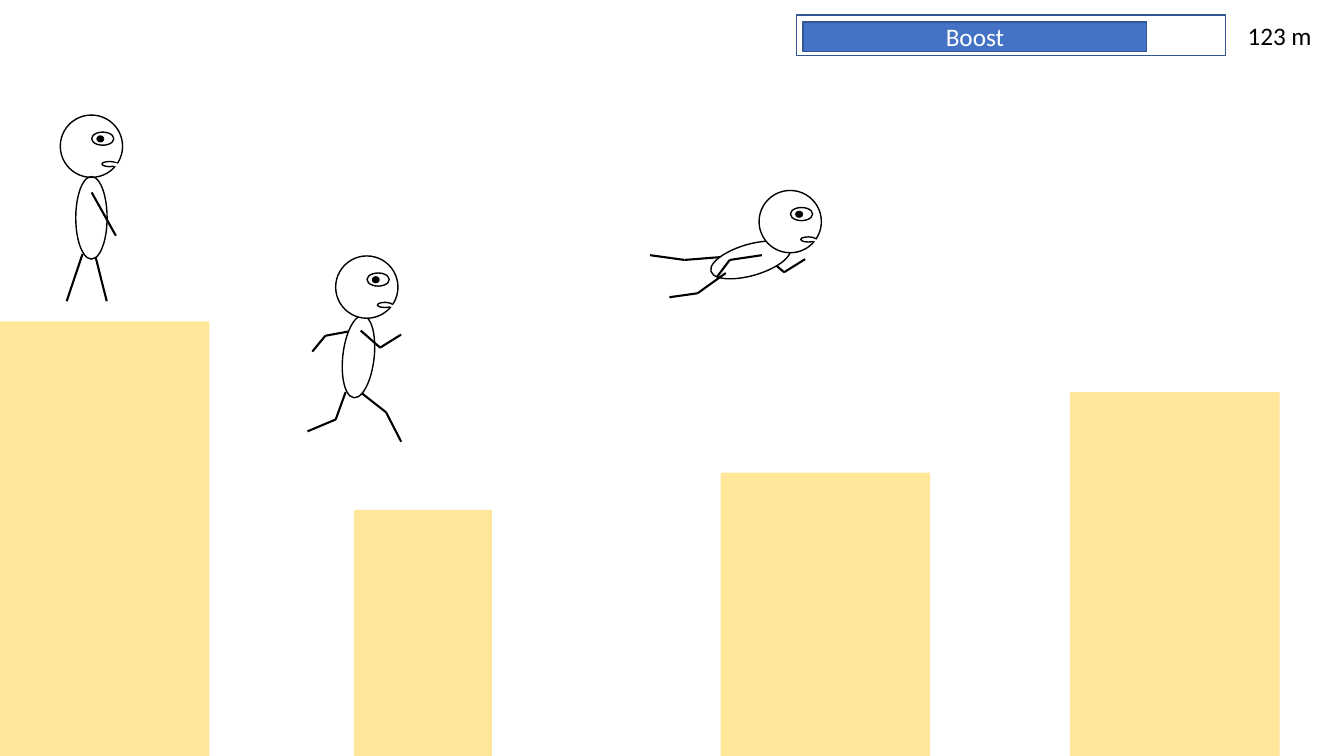
from dataclasses import dataclass
from itertools import pairwise

from lxml import etree
from pptx import Presentation
from pptx.dml.color import RGBColor
from pptx.enum.shapes import MSO_CONNECTOR, MSO_SHAPE
from pptx.enum.text import MSO_ANCHOR, MSO_AUTO_SIZE, PP_ALIGN
from pptx.oxml.ns import qn
from pptx.util import Cm, Pt

RECT, OVAL = MSO_SHAPE.RECTANGLE, MSO_SHAPE.OVAL
STRAIGHT = MSO_CONNECTOR.STRAIGHT
CENTER, MIDDLE = PP_ALIGN.CENTER, MSO_ANCHOR.MIDDLE
GROW = MSO_AUTO_SIZE.SHAPE_TO_FIT_TEXT


@dataclass(frozen=True)
class Theme:
    ink: str = "000000"
    paper: str = "FFFFFF"
    sand: str = "FFE699"
    blue: str = "4472C4"
    navy: str = "325491"
    font: str = "Calibri"
    size: float = 18
    outline: float = 1
    limb: float = 1.5


T = Theme()
SLIDE_W, SLIDE_H = 33.87, 19.05
HEAD, BODY_W, BODY_H = 1.57, 0.79, 2.08

prs = Presentation()
prs.slide_width, prs.slide_height = Cm(SLIDE_W), Cm(SLIDE_H)
s = prs.slides.add_slide(prs.slide_layouts[6])


def add_shape(kind, x, y, w, h, fill=None, line=None):
    sp = s.shapes.add_shape(kind, Cm(x), Cm(y), Cm(w), Cm(h))
    sp.shadow.inherit = False
    if fill:
        sp.fill.solid()
        sp.fill.fore_color.rgb = RGBColor.from_string(fill)
    else:
        sp.fill.background()
    if line:
        sp.line.color.rgb = RGBColor.from_string(line)
        sp.line.width = Pt(T.outline)
    else:
        sp.line.fill.background()
    return sp


def add_path(points, color=T.ink, width=T.limb):
    for (x1, y1), (x2, y2) in pairwise(points):
        cn = s.shapes.add_connector(STRAIGHT, Cm(x1), Cm(y1), Cm(x2), Cm(y2))
        cn.line.color.rgb = RGBColor.from_string(color)
        cn.line.width = Pt(width)
        etree.SubElement(cn._element.spPr, qn("a:effectLst"))


platforms = [(0, 8.1, 5.28), (8.92, 12.85, 3.48), (18.16, 11.91, 5.28), (26.97, 9.88, 5.28)]
for x, y, w in platforms:
    add_shape(RECT, x, y, w, SLIDE_H - y, T.sand)

standing = dict(
    head=(1.52, 2.9), body=(1.91, 4.45), tilt=0, fill=None, lip=2.25,
    back=[],
    front=[
        [(2.41, 6.48), (2.69, 7.59)],
        [(2.08, 6.4), (1.68, 7.59)],
        [(2.31, 4.85), (2.92, 5.94)],
    ],
)
running = dict(
    head=(8.46, 6.45), body=(8.64, 7.95), tilt=6.4, fill=T.paper, lip=1.5,
    back=[[(9.02, 8.31), (8.2, 8.46), (7.87, 8.86)]],
    front=[
        [(9.12, 9.91), (9.73, 10.39), (10.11, 11.13)],
        [(8.71, 9.88), (8.46, 10.57), (7.75, 10.87)],
        [(9.09, 8.33), (9.58, 8.76), (10.11, 8.43)],
    ],
)
flying = dict(
    head=(19.13, 4.8), body=(18.52, 5.51), tilt=73.9, fill=T.paper, lip=1.5,
    back=[
        [(19.28, 6.45), (19.76, 6.86), (20.29, 6.53)],
        [(18.14, 6.48), (17.25, 6.55), (16.38, 6.43)],
    ],
    front=[
        [(18.29, 6.88), (17.58, 7.39), (16.87, 7.49)],
        [(19.2, 6.43), (18.39, 6.55), (18.06, 6.99)],
    ],
)

for pose in (standing, running, flying):
    for limb in pose["back"]:
        add_path(limb)
    body = add_shape(OVAL, *pose["body"], BODY_W, BODY_H, pose["fill"], T.ink)
    body.rotation = pose["tilt"]
    x, y = pose["head"]
    add_shape(OVAL, x, y, HEAD, HEAD, pose["fill"], T.ink)
    for limb in pose["front"]:
        add_path(limb)
    add_shape(OVAL, x + 0.79, y + 0.43, 0.56, 0.33, T.paper, T.ink)
    add_shape(OVAL, x + 0.91, y + 0.51, 0.2, 0.18, T.ink)
    add_shape(OVAL, x + 1.05, y + 1.17, 0.38, 0.13, None, T.ink)
    add_path([(x + 1.35, y + 1.24), (x + 1.57, y + 1.3)], T.paper, pose["lip"])

add_shape(RECT, 20.07, 0.38, 10.82, 1.02, T.paper, T.navy)
boost = add_shape(RECT, 20.24, 0.56, 8.66, 0.74, T.blue, T.navy)
boost.text_frame.vertical_anchor = MIDDLE
boost.text_frame.paragraphs[0].alignment = CENTER
distance = s.shapes.add_textbox(Cm(31.19), Cm(0.38), Cm(2.16), Cm(1.02))
distance.text_frame.word_wrap = False
distance.text_frame.auto_size = GROW

for sp, text, color in [(boost, "Boost", T.paper), (distance, "123 m", T.ink)]:
    r = sp.text_frame.paragraphs[0].add_run()
    r.text = text
    r.font.name = T.font
    r.font.size = Pt(T.size)
    r.font.color.rgb = RGBColor.from_string(color)

prs.save("out.pptx")
